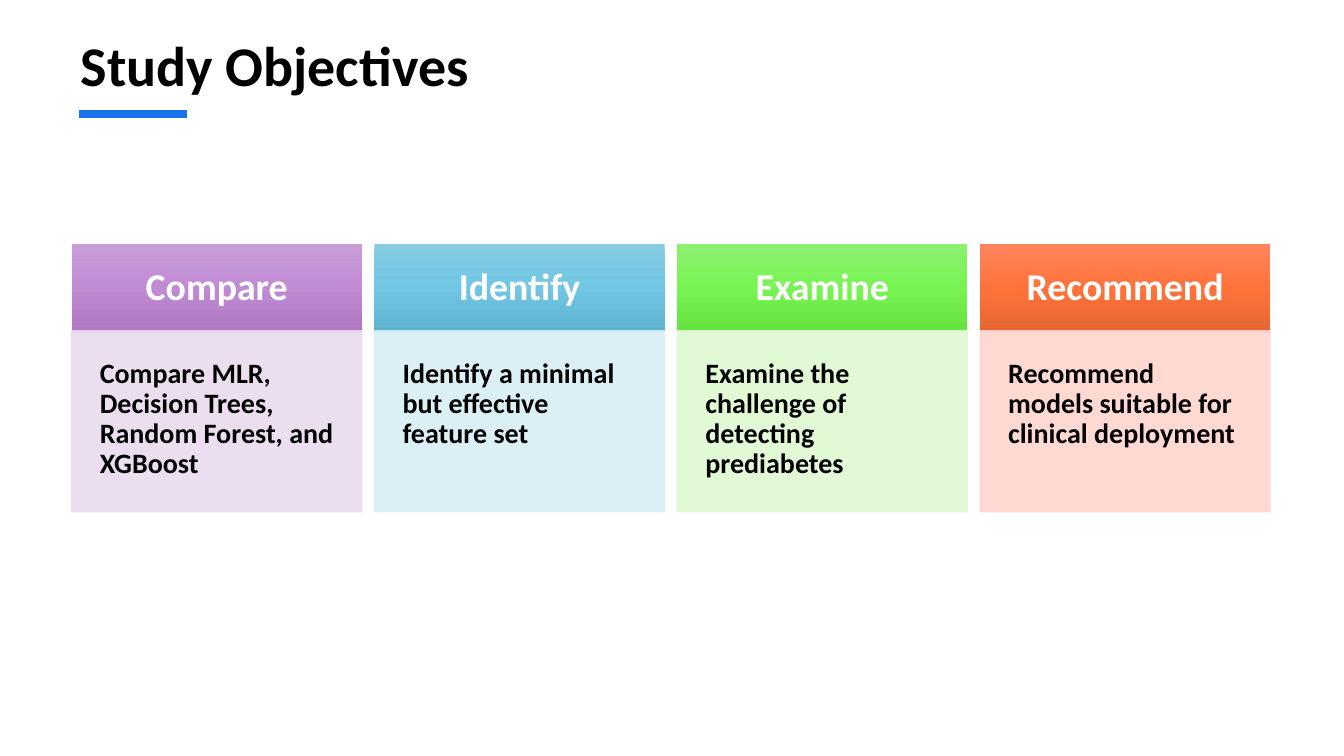
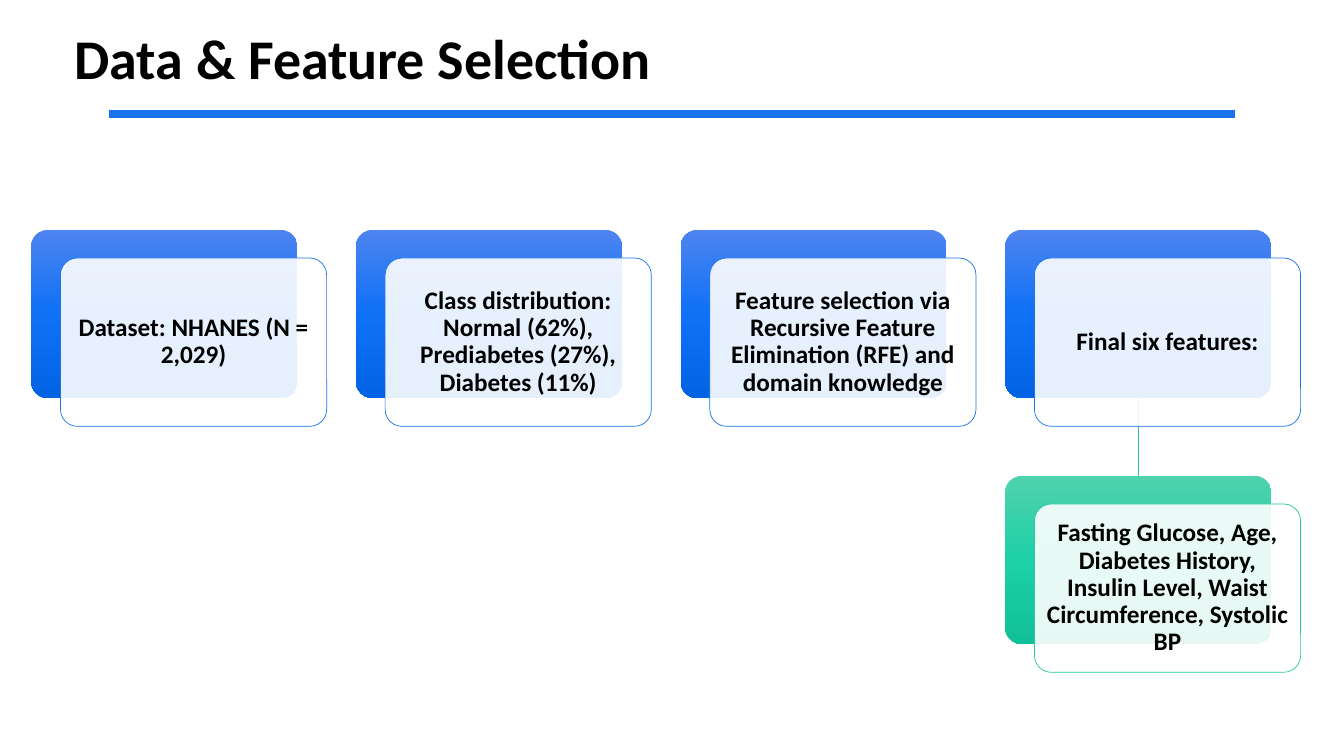
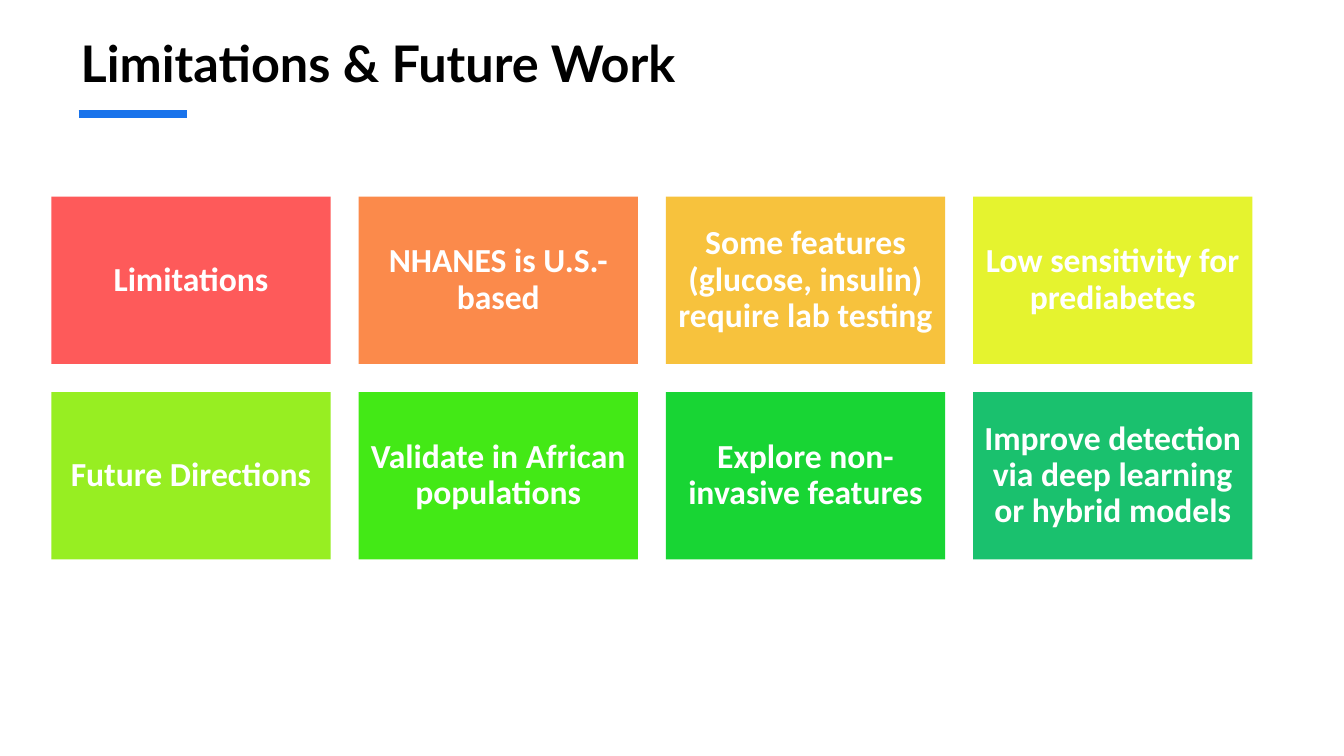
from dataclasses import dataclass

from lxml import etree
from pptx import Presentation
from pptx.dml.color import RGBColor
from pptx.enum.shapes import MSO_CONNECTOR, MSO_SHAPE
from pptx.enum.text import MSO_ANCHOR, MSO_AUTO_SIZE, PP_ALIGN
from pptx.oxml.ns import qn
from pptx.util import Inches, Pt

RECT, ROUND = MSO_SHAPE.RECTANGLE, MSO_SHAPE.ROUNDED_RECTANGLE
STRAIGHT = MSO_CONNECTOR.STRAIGHT
TOP, MIDDLE = MSO_ANCHOR.TOP, MSO_ANCHOR.MIDDLE
LEFT, CENTER = PP_ALIGN.LEFT, PP_ALIGN.CENTER
NO_FIT = MSO_AUTO_SIZE.NONE


@dataclass(frozen=True)
class Theme:
    font: str = "Calibri"
    alt_font: str = "Lato"
    black: str = "000000"
    white: str = "FFFFFF"
    blue: str = "1973EB"
    green: str = "25C8A2"
    blue_fade: tuple[str, ...] = ("4E84F0", "0E71F6", "0263E5")
    green_fade: tuple[str, ...] = ("50D2AE", "1DD0A6", "12C098")
    title: int = 40
    small_title: int = 36
    head: int = 27
    tile: int = 24
    body: int = 20
    card: int = 18
    alpha: int = 90


THEME = Theme()


@dataclass(frozen=True)
class Box:
    left: float
    top: float
    width: float
    height: float

    def lengths(self):
        return [Inches(v) for v in (self.left, self.top, self.width, self.height)]


@dataclass(frozen=True)
class Style:
    size: int
    color: str = THEME.black
    font: str = THEME.font
    align: PP_ALIGN = CENTER
    anchor: MSO_ANCHOR = MIDDLE
    inset: float = 0.1


@dataclass(frozen=True)
class Goal:
    head: str
    body: str
    fade: tuple[str, ...]
    tint: str


@dataclass(frozen=True)
class Tile:
    text: str
    color: str


HEAD = Style(THEME.head, THEME.white, inset=0.23)
BODY = Style(THEME.body, align=LEFT, anchor=TOP, inset=0.28)
CARD = Style(THEME.card, inset=0.07)
TILE = Style(THEME.tile, THEME.white)

GOALS = [
    Goal("Compare", "Compare MLR, Decision Trees, Random Forest, and XGBoost",
         ("C79CD7", "C18BD4", "AD77C1"), "E8DBEE"),
    Goal("Identify", "Identify a minimal but effective feature set",
         ("86CBE2", "70C6E3", "5DB3D0"), "D6EFF4"),
    Goal("Examine", "Examine the challenge of detecting prediabetes",
         ("8CF071", "78F452", "66E240"), "DFF9D2"),
    Goal("Recommend", "Recommend models suitable for clinical deployment",
         ("FF855E", "FF733B", "E56532"), "FFD5CE"),
]
STEPS = [
    "Dataset: NHANES (N = 2,029)",
    "Class distribution: Normal (62%), Prediabetes (27%), Diabetes (11%)",
    "Feature selection via Recursive Feature Elimination (RFE) and domain knowledge",
    "Final six features:",
]
DETAIL = ("Fasting Glucose, Age, Diabetes History, Insulin Level, "
          "Waist Circumference, Systolic BP")
TILES = [
    Tile("Limitations", "FE5A5A"),
    Tile("NHANES is U.S.-based", "FB8A4B"),
    Tile("Some features (glucose, insulin) require lab testing", "F7C23D"),
    Tile("Low sensitivity for prediabetes", "E5F32F"),
    Tile("Future Directions", "97EE22"),
    Tile("Validate in African populations", "43E916"),
    Tile("Explore non-invasive features", "18D534"),
    Tile("Improve detection via deep learning or hybrid models", "1AC16E"),
]


# Shared drawing
def rgb(code: str) -> RGBColor:
    return RGBColor.from_string(code)


def write(shape, text: str, style: Style, spacing: float = 0.9) -> None:
    frame = shape.text_frame
    frame.word_wrap = True
    frame.auto_size = NO_FIT
    frame.vertical_anchor = style.anchor
    frame.margin_left = frame.margin_right = Inches(style.inset)
    frame.margin_top = frame.margin_bottom = Inches(style.inset)
    para = frame.paragraphs[0]
    para.alignment = style.align
    para.line_spacing = spacing
    run = para.add_run()
    run.text = text
    run.font.name = style.font
    run.font.size = Pt(style.size)
    run.font.bold = True
    run.font.color.rgb = rgb(style.color)


def add_box(slide, box: Box, kind: MSO_SHAPE = RECT):
    shape = slide.shapes.add_shape(kind, *box.lengths())
    shape.shadow.inherit = False
    shape.line.fill.background()
    if kind == ROUND:
        shape.adjustments[0] = 0.1
    return shape


def fill_flat(shape, color: str, alpha: int = 100) -> None:
    shape.fill.solid()
    shape.fill.fore_color.rgb = rgb(color)
    if alpha < 100:
        fade(shape.fill._xPr.find(qn("a:solidFill")), alpha)


def fade(fill, alpha: int) -> None:
    etree.SubElement(fill[0], qn("a:alpha"), val=str(alpha * 1000))


def fill_fade(shape, colors: tuple[str, ...]) -> None:
    """Fill from top to bottom with evenly spaced stops."""
    shape.fill.gradient()
    grad = shape.fill._xPr.find(qn("a:gradFill"))
    for part in list(grad):
        grad.remove(part)
    stops = etree.SubElement(grad, qn("a:gsLst"))
    for i, color in enumerate(colors):
        pos = 100000 * i // (len(colors) - 1)
        stop = etree.SubElement(stops, qn("a:gs"), pos=str(pos))
        etree.SubElement(stop, qn("a:srgbClr"), val=color)
    etree.SubElement(grad, qn("a:lin"), ang="5400000", scaled="0")


def outline(shape, color: str, alpha: int = 100) -> None:
    shape.line.color.rgb = rgb(color)
    shape.line.width = Pt(0.5)
    if alpha < 100:
        fade(shape.line._ln.find(qn("a:solidFill")), alpha)


def add_line(slide, start: tuple[float, float], end: tuple[float, float],
             color: str, width: float) -> None:
    ends = [Inches(v) for v in (*start, *end)]
    line = slide.shapes.add_connector(STRAIGHT, *ends)
    line.line.color.rgb = rgb(color)
    line.line.width = Pt(width)
    etree.SubElement(line._element.spPr, qn("a:effectLst"))


def add_slide(deck, title: str, box: Box, rule: tuple[float, float] = (0.78, 1.85),
              size: int = THEME.title, font: str = THEME.font):
    slide = deck.slides.add_slide(deck.slide_layouts[5])
    holder = slide.shapes.title
    holder.left, holder.top, holder.width, holder.height = box.lengths()
    write(holder, title, Style(size, font=font, align=LEFT, anchor=TOP), 1.0)
    holder.text_frame.margin_top = Inches(0.05)
    add_line(slide, (rule[0], 1.13), (rule[1], 1.13), THEME.blue, 6)
    return slide


# Slide 1: four goals
def draw_goals(deck) -> None:
    slide = add_slide(deck, "Study Objectives", Box(0.7, 0.25, 11.91, 1.2))
    for i, goal in enumerate(GOALS):
        left = 0.71 + i * 3.003
        head = add_box(slide, Box(left, 2.42, 2.88, 0.87))
        fill_fade(head, goal.fade)
        write(head, goal.head, HEAD)
        body = add_box(slide, Box(left, 3.28, 2.88, 1.8))
        fill_flat(body, goal.tint, THEME.alpha)
        outline(body, goal.tint, THEME.alpha)
        write(body, goal.body, BODY)


# Slide 2: layered cards
def add_card(slide, left: float, top: float, text: str,
             colors: tuple[str, ...], edge: str) -> None:
    width, height = 2.64, 1.67
    back = add_box(slide, Box(left, top, width, height), ROUND)
    fill_fade(back, colors)
    front = add_box(slide, Box(left + 0.29, top + 0.28, width, height), ROUND)
    fill_flat(front, THEME.white, THEME.alpha)
    outline(front, edge)
    write(front, text, CARD)


def draw_data(deck) -> None:
    slide = add_slide(deck, "Data & Feature Selection",
                      Box(0.64, 0.18, 11.33, 1.25), (1.08, 12.25))
    lefts = [0.31 + i * 3.22 for i in range(len(STEPS))]
    stem = lefts[-1] + 1.32
    add_line(slide, (stem, 3.95), (stem, 4.72), THEME.green, 1)
    for left, text in zip(lefts, STEPS):
        add_card(slide, left, 2.28, text, THEME.blue_fade, THEME.blue)
    add_card(slide, lefts[-1], 4.72, DETAIL, THEME.green_fade, THEME.green)


# Slide 3: grid of tiles
def draw_tiles(deck) -> None:
    slide = add_slide(deck, "Limitations & Future Work", Box(0.7, 0.27, 11.91, 0.73),
                      size=THEME.small_title, font=THEME.alt_font)
    for i, tile in enumerate(TILES):
        row, col = divmod(i, 4)
        box = Box(0.51 + col * 3.047, 1.95 + row * 1.94, 2.77, 1.66)
        shape = add_box(slide, box)
        fill_flat(shape, tile.color)
        write(shape, tile.text, TILE)


def main() -> None:
    deck = Presentation()
    deck.slide_width, deck.slide_height = Inches(13.33), Inches(7.5)
    draw_goals(deck)
    draw_data(deck)
    draw_tiles(deck)
    deck.save("out.pptx")


if __name__ == "__main__":
    main()
